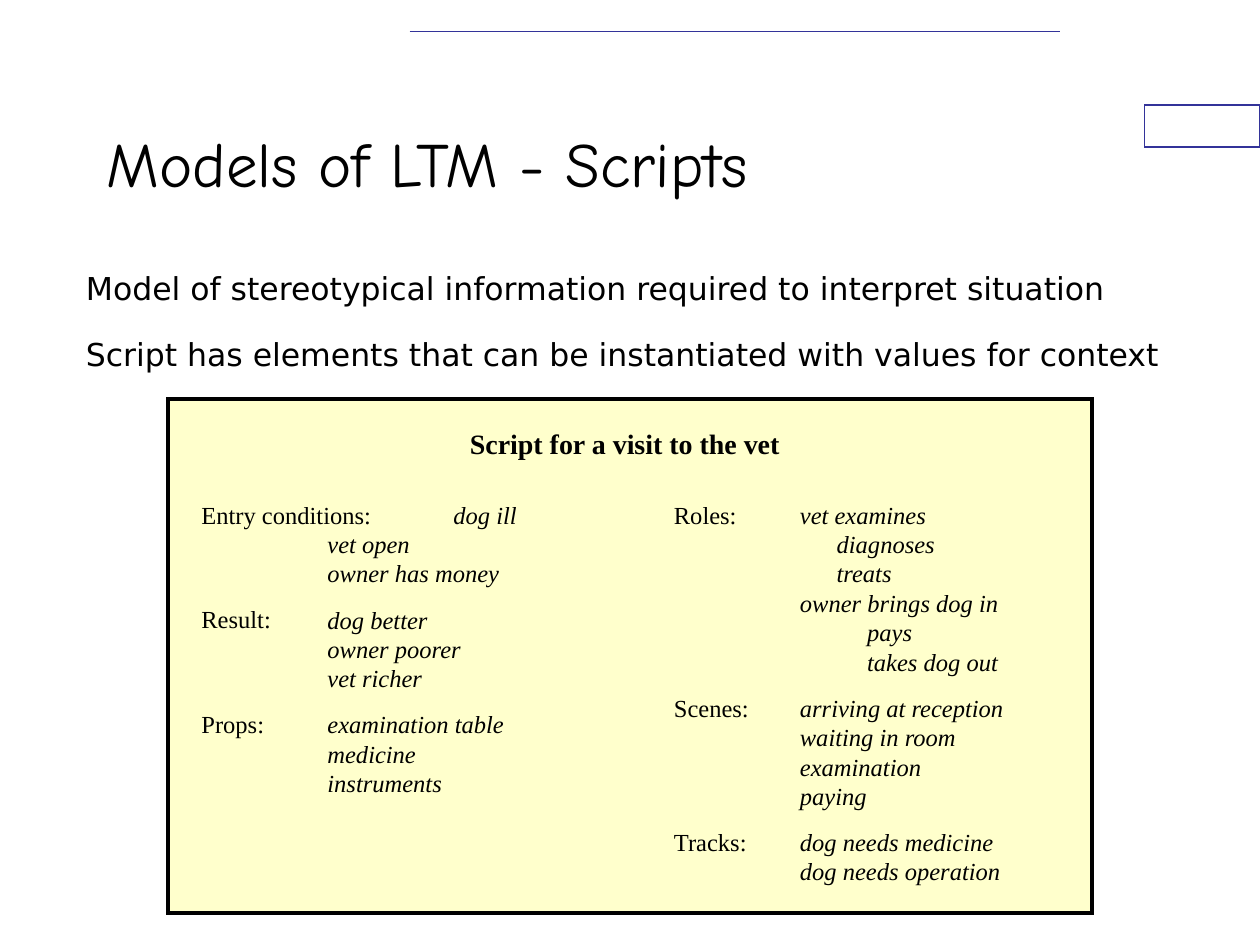
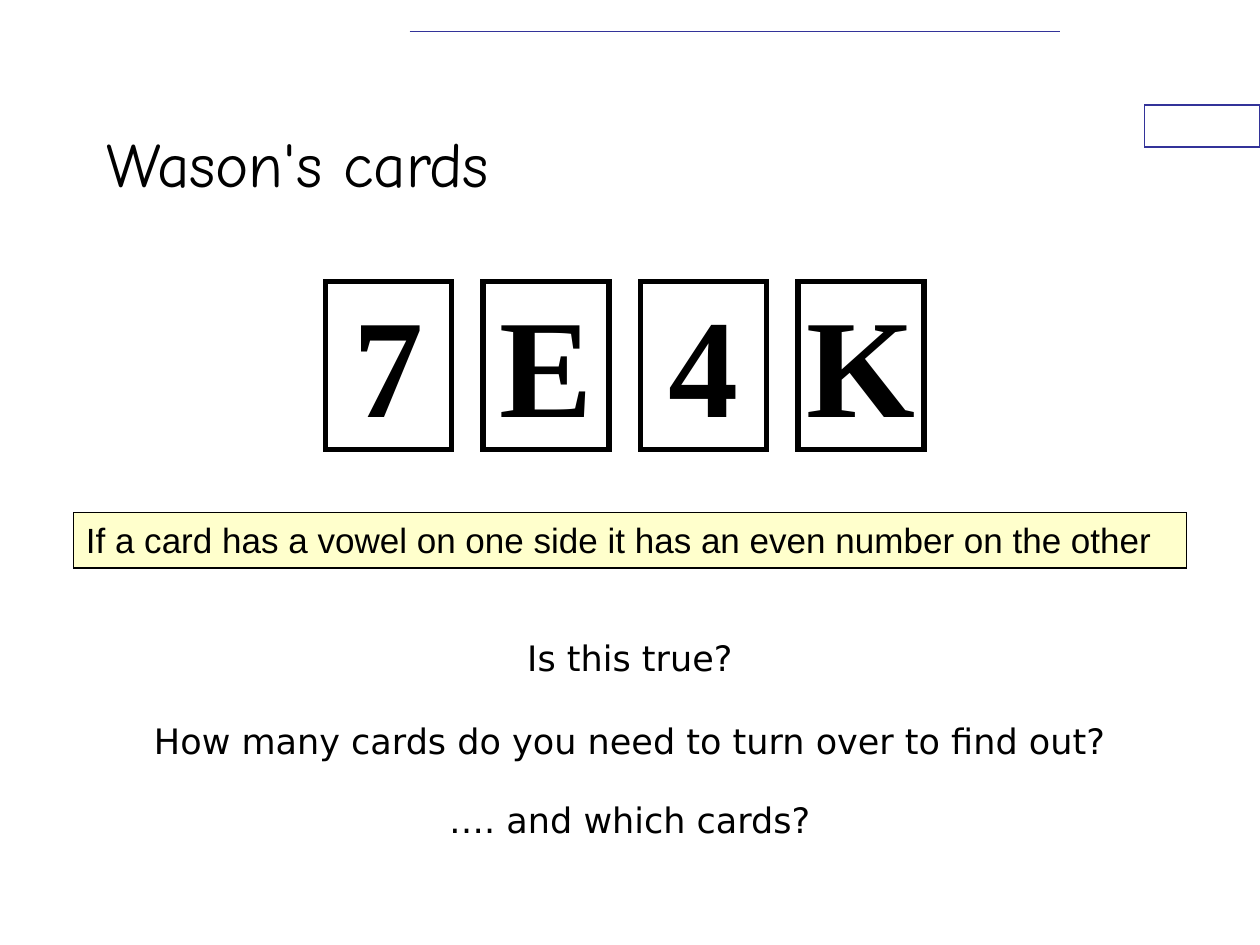
from lxml import etree
from pptx import Presentation
from pptx.dml.color import RGBColor
from pptx.enum.shapes import MSO_CONNECTOR, MSO_SHAPE
from pptx.enum.text import MSO_ANCHOR, PP_ALIGN
from pptx.oxml.ns import qn
from pptx.util import Pt

PX = 914400 // 120
BLACK = RGBColor(0, 0, 0)
WHITE = RGBColor(255, 255, 255)
NAVY = RGBColor(0x33, 0x33, 0x99)
CREAM = RGBColor(0xFF, 0xFF, 0xCC)
TITLE_FONT, BODY_FONT, SERIF, SANS = "Comic Neue", "DejaVu Sans", "Times New Roman", "Arial"
RECTANGLE = MSO_SHAPE.RECTANGLE
STRAIGHT = MSO_CONNECTOR.STRAIGHT
LEFT, CENTER = PP_ALIGN.LEFT, PP_ALIGN.CENTER
TOP, MIDDLE = MSO_ANCHOR.TOP, MSO_ANCHOR.MIDDLE

ENTRY_INDENT = 120
HEADING_WIDTH = 200
SCRIPT_LINE = 16.8
GROUP_GAP = 9.5
SCRIPT_LEFT = [
    ("Entry conditions:", [("dog ill", 120), ("vet open", 0), ("owner has money", 0)]),
    ("Result:", [("dog better", 0), ("owner poorer", 0), ("vet richer", 0)]),
    ("Props:", [("examination table", 0), ("medicine", 0), ("instruments", 0)]),
]
SCRIPT_RIGHT = [
    ("Roles:", [("vet examines", 0), ("diagnoses", 35), ("treats", 35),
                ("owner brings dog in", 0), ("pays", 64), ("takes dog out", 64)]),
    ("Scenes:", [("arriving at reception", 0), ("waiting in room", 0),
                 ("examination", 0), ("paying", 0)]),
    ("Tracks:", [("dog needs medicine", 0), ("dog needs operation", 0)]),
]


def emu(*lengths):
    return [length * PX for length in lengths]


def add_box(slide, at, fill=None, line=None, line_width=0.75):
    box = slide.shapes.add_shape(RECTANGLE, *emu(*at))
    box.shadow.inherit = False
    if fill is None:
        box.fill.background()
    else:
        box.fill.solid()
        box.fill.fore_color.rgb = fill
    if line is None:
        box.line.fill.background()
    else:
        box.line.color.rgb = line
        box.line.width = Pt(line_width)
        outline = box._element.spPr.find(qn("a:ln"))
        etree.SubElement(outline, qn("a:miter"), lim="800000")
    return box


def write_lines(shape, lines, size, font, bold=False, align=LEFT, anchor=TOP):
    """Fill a shape with (text, points before) lines in one style."""
    frame = shape.text_frame
    frame.word_wrap = True
    frame.vertical_anchor = anchor
    for index, (text, before) in enumerate(lines):
        paragraph = frame.add_paragraph() if index else frame.paragraphs[0]
        paragraph.text = text
        paragraph.alignment = align
        if before:
            paragraph.space_before = Pt(before)
        paragraph.font.size = Pt(size)
        paragraph.font.name = font
        paragraph.font.bold = bold
        paragraph.font.color.rgb = BLACK


def add_text(slide, at, lines, size, font, **options):
    text_box = slide.shapes.add_textbox(*emu(*at))
    write_lines(text_box, lines, size, font, **options)
    return text_box.text_frame.paragraphs


def add_titled_slide(prs, title):
    slide = prs.slides.add_slide(prs.slide_layouts[6])
    slide.background.fill.solid()
    slide.background.fill.fore_color.rgb = WHITE
    add_box(slide, (1090, 100, 110, 40), WHITE, NAVY)
    rule = slide.shapes.add_connector(STRAIGHT, *emu(390, 30, 1010, 30))
    rule.line.color.rgb = NAVY
    rule.line.width = Pt(1)
    etree.SubElement(rule._element.spPr, qn("a:effectLst"))
    add_text(slide, (90, 80, 900, 150), [(title, 0)], 36, TITLE_FONT, anchor=MIDDLE)
    return slide


def add_script_column(slide, left, top, width, height, groups):
    """Set headings beside their entries, level with each group's first line."""
    headings, entries, offsets = [], [], []
    heading_gap = 0
    for heading, group in groups:
        headings.append((heading, heading_gap))
        heading_gap = GROUP_GAP + (len(group) - 1) * SCRIPT_LINE
        for row, (entry, offset) in enumerate(group):
            entries.append((entry, GROUP_GAP if entries and row == 0 else 0))
            offsets.append(offset)
    heading_lines = add_text(slide, (left, top, HEADING_WIDTH, height), headings, 14, SERIF)
    entry_lines = add_text(slide, (left + ENTRY_INDENT, top, width - ENTRY_INDENT, height),
                           entries, 14, SERIF)
    for line in heading_lines + entry_lines:
        line.line_spacing = Pt(SCRIPT_LINE)
    for line, offset in zip(entry_lines, offsets):
        line.font.italic = True
        line._p.get_or_add_pPr().set("marL", str(offset * PX))


def add_card(slide, left, symbol):
    card = add_box(slide, (left, 268, 120, 160), line=BLACK, line_width=3)
    write_lines(card, [(symbol, 0)], 80, SERIF, bold=True, align=CENTER, anchor=MIDDLE)
    frame = card.text_frame
    frame.word_wrap = False
    frame.margin_left = frame.margin_right = frame.margin_top = 0
    frame.margin_bottom = 8 * PX


def build_scripts_slide(prs):
    slide = add_titled_slide(prs, "Models of LTM - Scripts")
    add_text(slide, (70, 250, 1060, 140), [
        ("Model of stereotypical information required to interpret situation", 0),
        ("Script has elements that can be instantiated with values for context", 16.2),
    ], 18, BODY_FONT)
    add_box(slide, (160, 380, 880, 490), CREAM, BLACK, 2.25)
    heading = add_box(slide, (430, 400, 330, 44), CREAM)
    write_lines(heading, [("Script for a visit to the vet", 0)], 16, SERIF,
                bold=True, align=CENTER)
    add_script_column(slide, 180, 470, 390, 295, SCRIPT_LEFT)
    add_script_column(slide, 630, 470, 390, 379, SCRIPT_RIGHT)


def build_cards_slide(prs):
    slide = add_titled_slide(prs, "Wason's cards")
    add_text(slide, (90, 600, 1020, 230), [
        ("Is this true?", 0),
        ("How many cards do you need to turn over to find out?", 23.4),
        ("…. and which cards?", 21.2),
    ], 20, BODY_FONT, align=CENTER)
    claim = add_box(slide, (70, 488, 1060, 53), CREAM, BLACK)
    write_lines(claim, [
        ("If a card has a vowel on one side it has an even number on the other", 0),
    ], 20, SANS)
    for index, symbol in enumerate("7E4K"):
        add_card(slide, 310 + 150 * index, symbol)


def main():
    prs = Presentation()
    prs.slide_width, prs.slide_height = emu(1200, 900)
    build_scripts_slide(prs)
    build_cards_slide(prs)
    prs.save("out.pptx")


if __name__ == "__main__":
    main()
